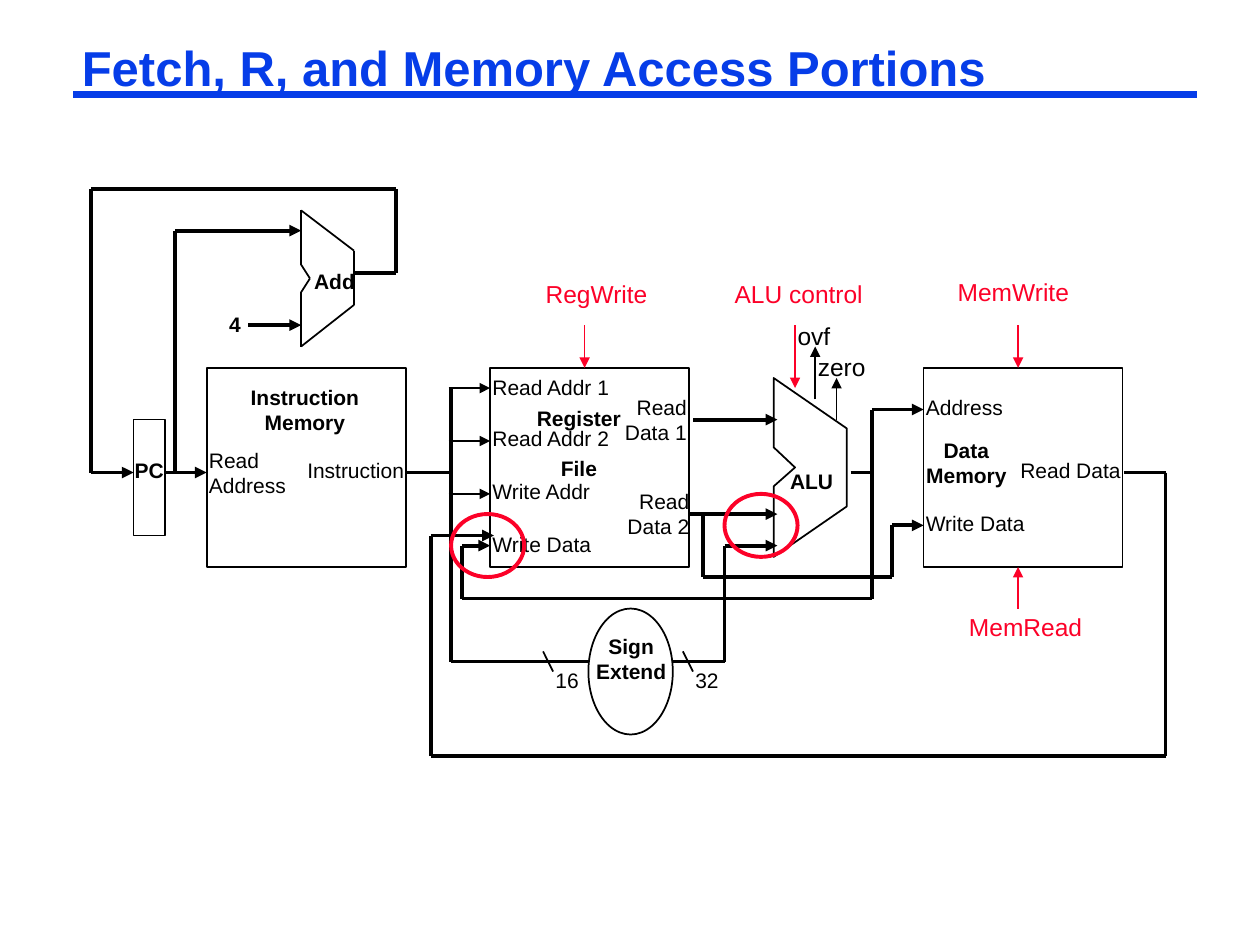
from lxml import etree
from pptx import Presentation
from pptx.dml.color import RGBColor
from pptx.enum.shapes import MSO_CONNECTOR, MSO_SHAPE
from pptx.enum.text import PP_ALIGN
from pptx.oxml.ns import qn
from pptx.util import Inches, Pt

STRAIGHT = MSO_CONNECTOR.STRAIGHT
RECT, OVAL = MSO_SHAPE.RECTANGLE, MSO_SHAPE.OVAL
LEFT, MID, RIGHT = PP_ALIGN.LEFT, PP_ALIGN.CENTER, PP_ALIGN.RIGHT
FONT = "Arial"
COLORS = {"blue": "063DE8", "black": "000000", "red": "FC0128"}
THIN, MEDIUM, THICK = 1, 1.5, 2.25
SIDE = 1.58


def color(name):
    return RGBColor.from_string(COLORS[name])


def wire(slide, points, arrow=False, width=THICK, hue="black"):
    for start, end in zip(points, points[1:]):
        line = slide.shapes.add_connector(
            STRAIGHT, *(Inches(v) for v in start + end))
        line.line.color.rgb = color(hue)
        line.line.width = Pt(width)
        props = line._element.spPr
        etree.SubElement(props, qn("a:effectLst"))
    if arrow:
        tail = etree.SubElement(props.find(qn("a:ln")), qn("a:tailEnd"))
        tail.set("type", "triangle")


def outline(shape, width=THIN, hue="black"):
    shape.shadow.inherit = False
    shape.fill.background()
    shape.line.color.rgb = color(hue)
    shape.line.width = Pt(width)


def block(slide, kind, left, top, wide, high, width=THIN, hue="black"):
    shape = slide.shapes.add_shape(
        kind, *(Inches(v) for v in (left, top, wide, high)))
    outline(shape, width, hue)


def poly(slide, points):
    spots = [(Inches(x), Inches(y)) for x, y in points]
    pen = slide.shapes.build_freeform(*spots[0])
    pen.add_line_segments(spots[1:], close=True)
    outline(pen.convert_to_shape())


def label(slide, text, left, top, wide, high=None, size=12, hue="black",
          bold=False, align=LEFT, pad=(0.1, 0.05), space=None, gap=0):
    lines = text.split("\n")
    high = high or 0.1 + 0.2 * len(lines)
    box = slide.shapes.add_textbox(
        *(Inches(v) for v in (left, top, wide, high)))
    frame = box.text_frame
    frame.word_wrap = False
    frame.margin_left = frame.margin_right = Inches(pad[0])
    frame.margin_top = frame.margin_bottom = Inches(pad[1])
    frame.text = text
    for i, para in enumerate(frame.paragraphs):
        para.alignment = align
        if space:
            para.line_spacing = space
        if i and gap:
            para.space_before = Pt(gap)
        for run in para.runs:
            run.font.name = FONT
            run.font.size = Pt(size)
            run.font.bold = bold
            run.font.color.rgb = color(hue)


def signal(slide, text, left, top, hue="red", space=Pt(18)):
    label(slide, text, left, top, 1.15, 0.36, 14, hue,
          pad=(0.02, 0.03), space=space)


def heading(slide):
    wire(slide, [(0.58, 0.75), (9.5, 0.75)], width=4.5, hue="blue")
    label(slide, "Fetch, R, and Memory Access Portions", 0.58, 0.33, 8.92,
          0.46, 28, "blue", True, pad=(0.07, 0.03), space=0.87)


def blocks(slide):
    for left in (1.64, 3.89, 7.33):
        block(slide, RECT, left, 2.92, SIDE, SIDE)
    block(slide, RECT, 1.06, 3.33, 0.25, 0.92)
    block(slide, OVAL, 4.67, 4.83, 0.67, 1)
    wire(slide, [(2.39, 1.67), (2.39, 2.1), (2.46, 2.21), (2.39, 2.32),
                 (2.39, 2.75), (2.81, 2.42), (2.81, 1.99), (2.39, 1.67)],
         width=THIN)
    poly(slide, [(6.14, 3), (6.14, 3.55), (6.31, 3.71), (6.14, 3.86),
                 (6.14, 4.42), (6.72, 4.02), (6.72, 3.4)])


def wires(slide):
    paths = [
        [(1.31, 3.75), (1.64, 3.75)],
        [(1.39, 3.75), (1.39, 1.83), (2.39, 1.83)],
        [(1.97, 2.58), (2.39, 2.58)],
        [(2.81, 2.17), (3.14, 2.17), (3.14, 1.5), (0.72, 1.5),
         (0.72, 3.75), (1.06, 3.75)],
        [(5.5, 3.33), (6.17, 3.33)],
        [(5.47, 4.08), (6.17, 4.08)],
        [(5.58, 4.08), (5.58, 4.58), (7.08, 4.58), (7.08, 4.17),
         (7.33, 4.17)],
        [(6.92, 3.25), (7.33, 3.25)],
        [(6.92, 3.25), (6.92, 4.75), (3.67, 4.75), (3.67, 4.33),
         (3.89, 4.33)],
        [(8.92, 3.75), (9.25, 3.75), (9.25, 6), (3.42, 6),
         (3.42, 4.25), (3.92, 4.25)],
        [(5.33, 5.25), (5.75, 5.25), (5.75, 4.33), (6.17, 4.33)],
    ]
    for path in paths:
        wire(slide, path, True)
    wire(slide, [(3.22, 3.75), (3.56, 3.75)])
    wire(slide, [(6.75, 3.75), (6.94, 3.75)])
    wire(slide, [(3.58, 3.08), (3.58, 5.25), (4.67, 5.25)])
    for y in (3.08, 3.5, 3.92):
        wire(slide, [(3.56, y), (3.89, y)], True, MEDIUM)
    for x in (4.31, 5.42):
        wire(slide, [(x, 5.17), (x + 0.08, 5.33)], width=THIN)


def names(slide):
    for text, left, top, wide in [
            ("Read\nAddress", 1.56, 3.5, 0.85),
            ("Instruction", 2.34, 3.58, 1.05),
            ("Read Addr 1", 3.81, 2.92, 1.2),
            ("Read Addr 2", 3.81, 3.33, 1.2),
            ("Write Addr", 3.81, 3.75, 1.1),
            ("Write Data", 3.81, 4.17, 1.1),
            ("Address", 7.25, 3.08, 0.85),
            ("Write Data", 7.25, 4, 1.1),
            ("Read Data", 8, 3.58, 1.1),
            ("16", 4.31, 5.25, 0.42),
            ("32", 5.42, 5.25, 0.42)]:
        label(slide, text, left, top, wide)
    label(slide, "Read\n Data 1", 4.81, 3.08, 0.74, align=RIGHT)
    label(slide, "Read\n Data 2", 4.83, 3.83, 0.74, align=RIGHT)
    for text, left, top, wide in [
            ("Instruction\nMemory", 1.89, 3, 1.06),
            ("Add", 2.39, 2.08, 0.53),
            ("PC", 0.97, 3.58, 0.43),
            ("4", 1.72, 2.42, 0.29),
            ("Data\nMemory", 7.25, 3.42, 0.84)]:
        label(slide, text, left, top, wide, bold=True, align=MID)
    label(slide, "Register\nFile", 4.16, 3.17, 0.87, 0.7, bold=True,
          align=MID, gap=14)
    label(slide, "ALU", 6.25, 3.67, 0.55, 0.36, bold=True,
          pad=(0.02, 0.03), space=Pt(16))
    label(slide, "Sign\nExtend", 4.66, 5, 0.7, bold=True, align=MID,
          pad=(0.02, 0.03))


def signals(slide):
    signal(slide, "RegWrite", 4.31, 2.17)
    signal(slide, "ALU control", 5.81, 2.17)
    signal(slide, "MemWrite", 7.58, 2.17, space=None)
    signal(slide, "MemRead", 7.67, 4.83, space=None)
    signal(slide, "ovf", 6.31, 2.5, "black")
    signal(slide, "zero", 6.47, 2.75, "black")
    for x, start, end, width, hue in [
            (4.64, 2.58, 2.92, THIN, "red"),
            (6.31, 2.58, 3.08, MEDIUM, "red"),
            (8.08, 2.58, 2.92, THIN, "red"),
            (8.08, 4.83, 4.5, THIN, "red"),
            (6.47, 3.17, 2.75, THIN, "black"),
            (6.64, 3.33, 3, THIN, "black")]:
        wire(slide, [(x, start), (x, end)], True, width, hue)
    for left, top in [(3.58, 4.08), (5.75, 3.92)]:
        block(slide, OVAL, left, top, 0.58, 0.5, THICK, "red")


def main():
    deck = Presentation()
    deck.slide_width, deck.slide_height = Inches(10), Inches(7.5)
    slide = deck.slides.add_slide(deck.slide_layouts[6])
    for draw in (heading, blocks, wires, names, signals):
        draw(slide)
    deck.save("out.pptx")


if __name__ == "__main__":
    main()
